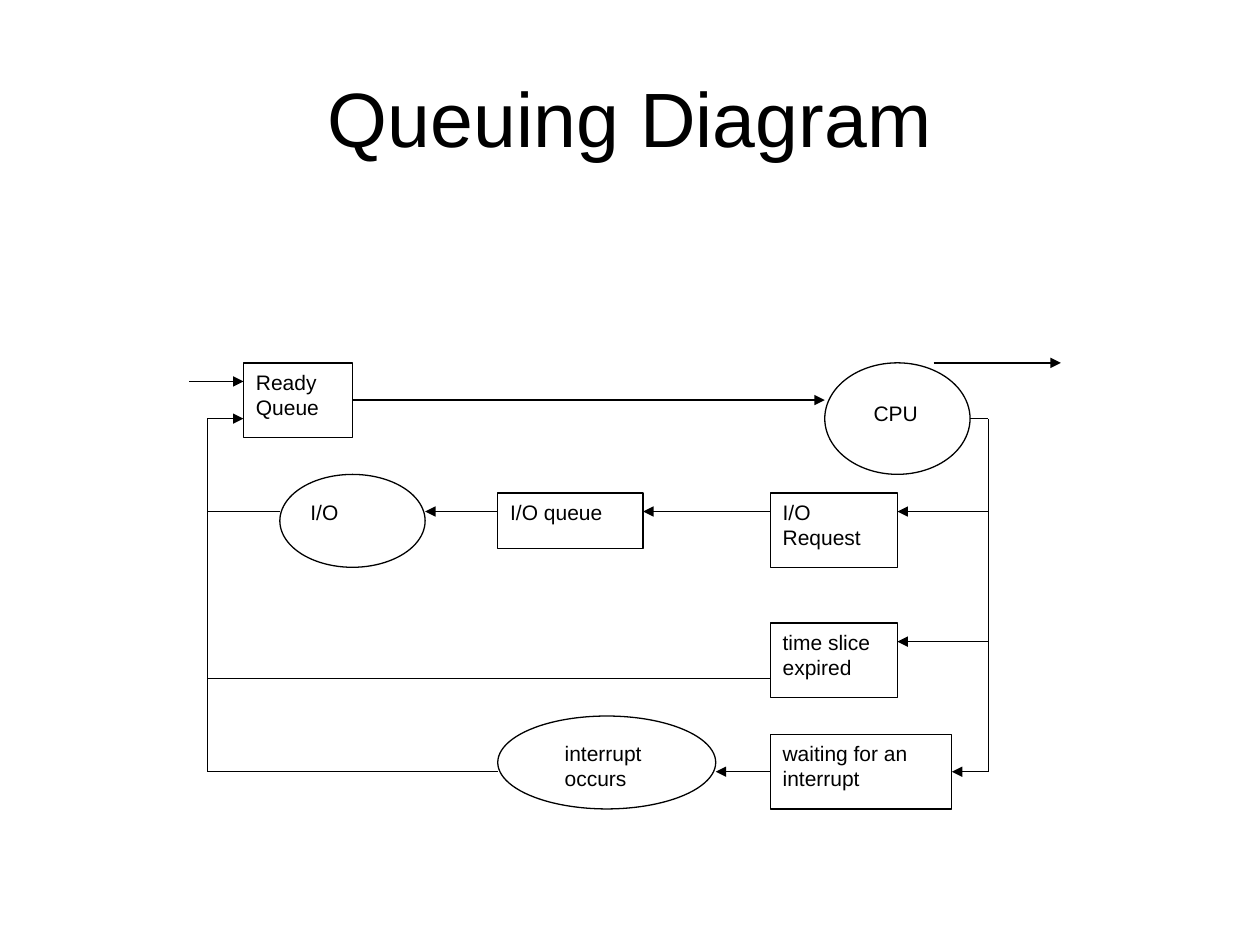
"""Build a one-slide queuing diagram of process scheduling."""
from lxml.etree import SubElement
from pptx import Presentation
from pptx.dml.color import RGBColor
from pptx.enum.shapes import MSO_CONNECTOR, MSO_SHAPE
from pptx.enum.text import MSO_ANCHOR, PP_ALIGN
from pptx.oxml.ns import qn
from pptx.util import Inches, Pt

COLORS = {"ink": "000000", "paper": "FFFFFF"}
FONT = "Arial"
LEFT, TOP = 1.5, 2.88
COLUMN, ROW = 6.92 / 48, 3.54 / 24
ENTRY, RETURN, BRANCH = 0, 1, 44

TITLE = "Queuing Diagram"
BOXES = [
    ("Ready Queue", (3, 0, 6, 4)),
    ("I/O queue", (17, 7, 8, 3)),
    ("I/O Request", (32, 7, 7, 4)),
    ("time slice expired", (32, 14, 7, 4)),
    ("waiting for an interrupt", (32, 20, 10, 4)),
]
ELLIPSES = [
    ("I/O", (5, 6, 8, 5), (7 - 1, 7, 6, 4)),
    ("interrupt occurs", (17, 19, 12, 5), (20, 20, 9, 4)),
    ("CPU", (35, 0, 8, 6), (37, 1.7, 6, 4.3)),
]
ARROWS = [
    (9, 2, 35, 2),
    (41, 0, 48, 0),
    (BRANCH, 8, 39, 8),
    (BRANCH, 15, 39, 15),
    (BRANCH, 22, 42, 22),
    (32, 22, 29, 22),
    (RETURN, 3, 3, 3),
    (17, 8, 13, 8),
    (32, 8, 25, 8),
    (ENTRY, 1, 3, 1),
]
LINES = [
    (BRANCH, 22, BRANCH, 3),
    (43, 3, BRANCH, 3),
    (RETURN, 3, RETURN, 22),
    (RETURN, 22, 17, 22),
    (RETURN, 8, 5, 8),
    (RETURN, 17, 32, 17),
]


def color(name):
    return RGBColor.from_string(COLORS[name])


def point(column, row):
    return Inches(LEFT + column * COLUMN), Inches(TOP + row * ROW)


def frame(cells):
    column, row, columns, rows = cells
    return *point(column, row), Inches(columns * COLUMN), Inches(rows * ROW)


def write(shape, text, size=12, align=PP_ALIGN.LEFT, anchor=MSO_ANCHOR.TOP):
    text_frame = shape.text_frame
    text_frame.word_wrap = True
    text_frame.vertical_anchor = anchor
    para = text_frame.paragraphs[0]
    para.alignment = align
    span = para.add_run()
    span.text = text
    span.font.name = FONT
    span.font.size = Pt(size)
    span.font.color.rgb = color("ink")


def outline(page, kind, cells):
    shape = page.shapes.add_shape(kind, *frame(cells))
    shape.shadow.inherit = False
    shape.fill.solid()
    shape.fill.fore_color.rgb = color("paper")
    shape.line.color.rgb = color("ink")
    shape.line.width = Pt(0.75)
    return shape


def connect(page, ends, arrow=False):
    line = page.shapes.add_connector(
        MSO_CONNECTOR.STRAIGHT, *point(*ends[:2]), *point(*ends[2:])
    )
    line.line.color.rgb = color("ink")
    line.line.width = Pt(0.75)
    properties = line._element.spPr
    if arrow:
        SubElement(properties.find(qn("a:ln")), qn("a:tailEnd"), type="triangle")
    SubElement(properties, qn("a:effectLst"))


def main():
    deck = Presentation()
    deck.slide_width, deck.slide_height = Inches(10), Inches(7.5)
    page = deck.slides.add_slide(deck.slide_layouts[5])

    title = page.shapes.title
    title.left, title.top = Inches(0.5), Inches(0.3)
    title.width, title.height = Inches(9), Inches(1.25)
    write(title, TITLE, size=44, align=PP_ALIGN.CENTER, anchor=MSO_ANCHOR.MIDDLE)

    for text, cells in BOXES:
        write(outline(page, MSO_SHAPE.RECTANGLE, cells), text)
    for text, cells, label_cells in ELLIPSES:
        outline(page, MSO_SHAPE.OVAL, cells)
        write(page.shapes.add_textbox(*frame(label_cells)), text)
    for ends in ARROWS:
        connect(page, ends, arrow=True)
    for ends in LINES:
        connect(page, ends)

    deck.save("out.pptx")


if __name__ == "__main__":
    main()
